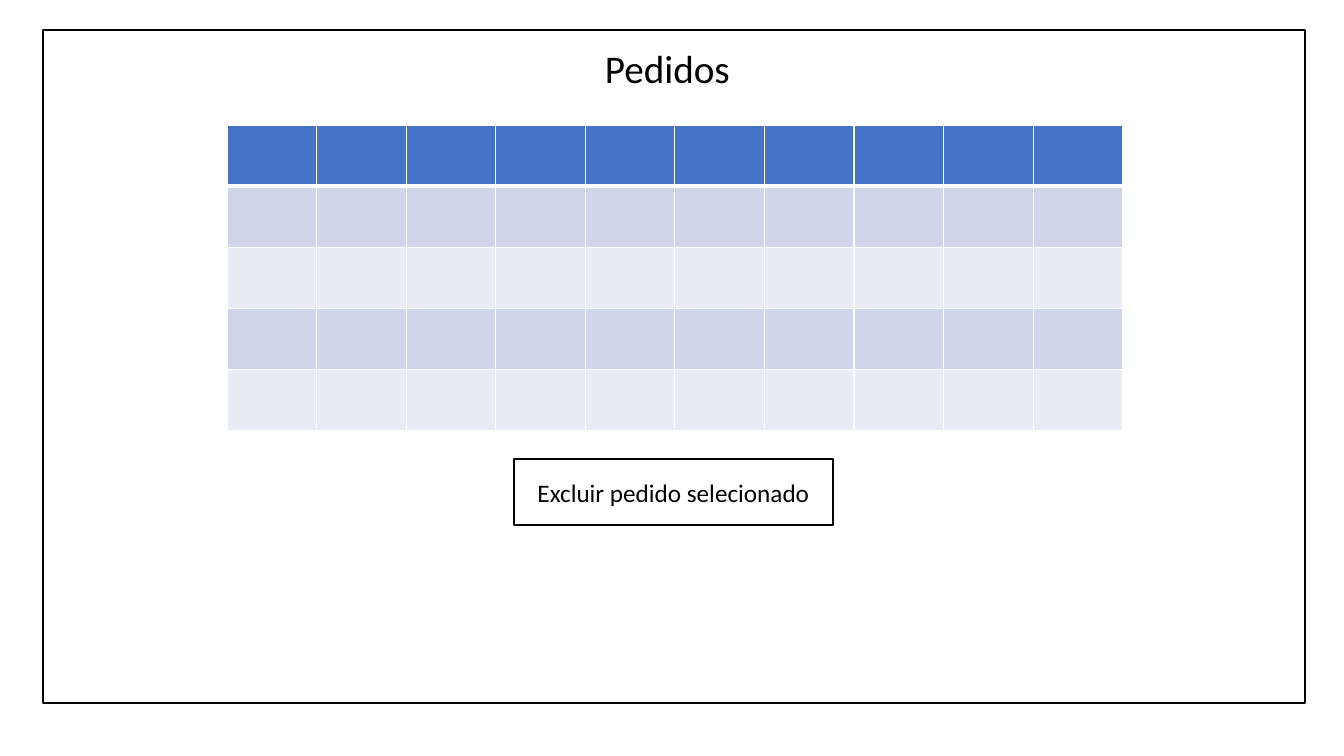
from dataclasses import dataclass

from lxml import etree
from pptx import Presentation
from pptx.dml.color import RGBColor
from pptx.enum.shapes import MSO_SHAPE
from pptx.enum.text import MSO_ANCHOR, MSO_AUTO_SIZE, PP_ALIGN
from pptx.oxml.ns import qn
from pptx.util import Emu, Pt

RECT = MSO_SHAPE.RECTANGLE
MIDDLE = MSO_ANCHOR.MIDDLE
CENTER, LEFT = PP_ALIGN.CENTER, PP_ALIGN.LEFT
GROW = MSO_AUTO_SIZE.SHAPE_TO_FIT_TEXT

EMU_PER_PX = 914400 / 100.8
FONT = "Calibri"
COLORS = {
    "white": "FFFFFF",
    "black": "000000",
    "header": "4472C4",
    "band_dark": "CFD5EA",
    "band_light": "E9EBF5",
}
ROWS, COLS = 5, 10


@dataclass(frozen=True)
class Box:
    """A rectangle in pixels."""
    x: int
    y: int
    w: int
    h: int

    def emu(self) -> tuple[Emu, Emu, Emu, Emu]:
        """Return left, top, width and height in EMU."""
        return px(self.x), px(self.y), px(self.w), px(self.h)


@dataclass(frozen=True)
class Panel:
    """An outlined white rectangle with an optional label."""
    box: Box
    label: str = ""


PANELS = [
    Panel(Box(43, 30, 1262, 673)),
    Panel(Box(514, 459, 319, 66), "Excluir pedido selecionado"),
]
TITLE = Box(595, 39, 147, 57)
ORDERS = Box(227, 125, 896, 306)


def px(value: float) -> Emu:
    """Convert pixels to EMU."""
    return Emu(round(value * EMU_PER_PX))


def rgb(name: str) -> RGBColor:
    """Look up a named colour."""
    return RGBColor.from_string(COLORS[name])


def write(tf, text: str, *, size: int, color: str = "black", align=LEFT) -> None:
    """Put one formatted run into a text frame."""
    p = tf.paragraphs[0]
    p.alignment = align
    r = p.add_run()
    r.text = text
    r.font.name, r.font.size = FONT, Pt(size)
    r.font.color.rgb = rgb(color)


def add_panel(slide, panel: Panel) -> None:
    """Draw an outlined rectangle and its label."""
    s = slide.shapes.add_shape(RECT, *panel.box.emu())
    s.shadow.inherit = False
    s.fill.solid()
    s.fill.fore_color.rgb = rgb("white")
    s.line.color.rgb = rgb("black")
    s.line.width = Pt(1)
    if panel.label:
        s.text_frame.vertical_anchor = MIDDLE
        s.text_frame.word_wrap = True
        write(s.text_frame, panel.label, size=18, align=CENTER)


def add_title(slide, box: Box, text: str) -> None:
    """Add the slide heading."""
    tf = slide.shapes.add_textbox(*box.emu()).text_frame
    tf.word_wrap = False
    tf.auto_size = GROW
    write(tf, text, size=28)


def set_borders(cell, top: int, bottom: int) -> None:
    """Give a cell white borders; widths are in points."""
    props = cell._tc.get_or_add_tcPr()
    widths = {"a:lnL": 1, "a:lnR": 1, "a:lnT": top, "a:lnB": bottom}
    for i, (tag, width) in enumerate(widths.items()):
        ln = etree.Element(qn(tag), w=str(Pt(width)))
        fill = etree.SubElement(ln, qn("a:solidFill"))
        etree.SubElement(fill, qn("a:srgbClr"), val=COLORS["white"])
        props.insert(i, ln)


def add_orders_table(slide, box: Box) -> None:
    """Draw the empty banded orders table."""
    table = slide.shapes.add_table(ROWS, COLS, *box.emu()).table
    for column in table.columns:
        column.width = px(box.w / COLS)
    for i, row in enumerate(table.rows):
        row.height = px(box.h / ROWS)
        band = "band_dark" if i % 2 else "band_light"
        for cell in row.cells:
            cell.fill.solid()
            cell.fill.fore_color.rgb = rgb(band if i else "header")
            set_borders(cell, top=3 if i == 1 else 1, bottom=1 if i else 3)


def main() -> None:
    """Build and save the slide."""
    prs = Presentation()
    prs.slide_width, prs.slide_height = px(1344), px(756)
    slide = prs.slides.add_slide(prs.slide_layouts[6])
    frame, delete_button = PANELS
    add_panel(slide, frame)
    add_title(slide, TITLE, "Pedidos")
    add_orders_table(slide, ORDERS)
    add_panel(slide, delete_button)
    prs.save("out.pptx")


main()
